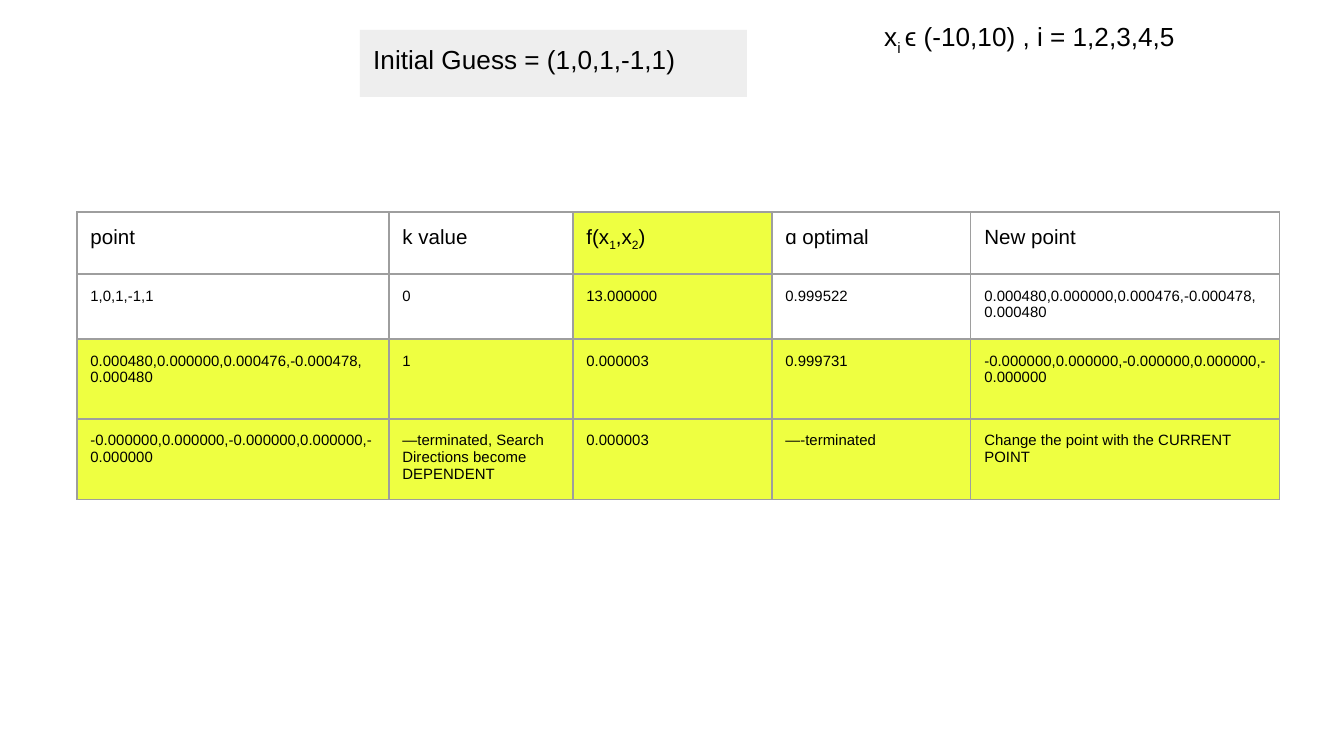
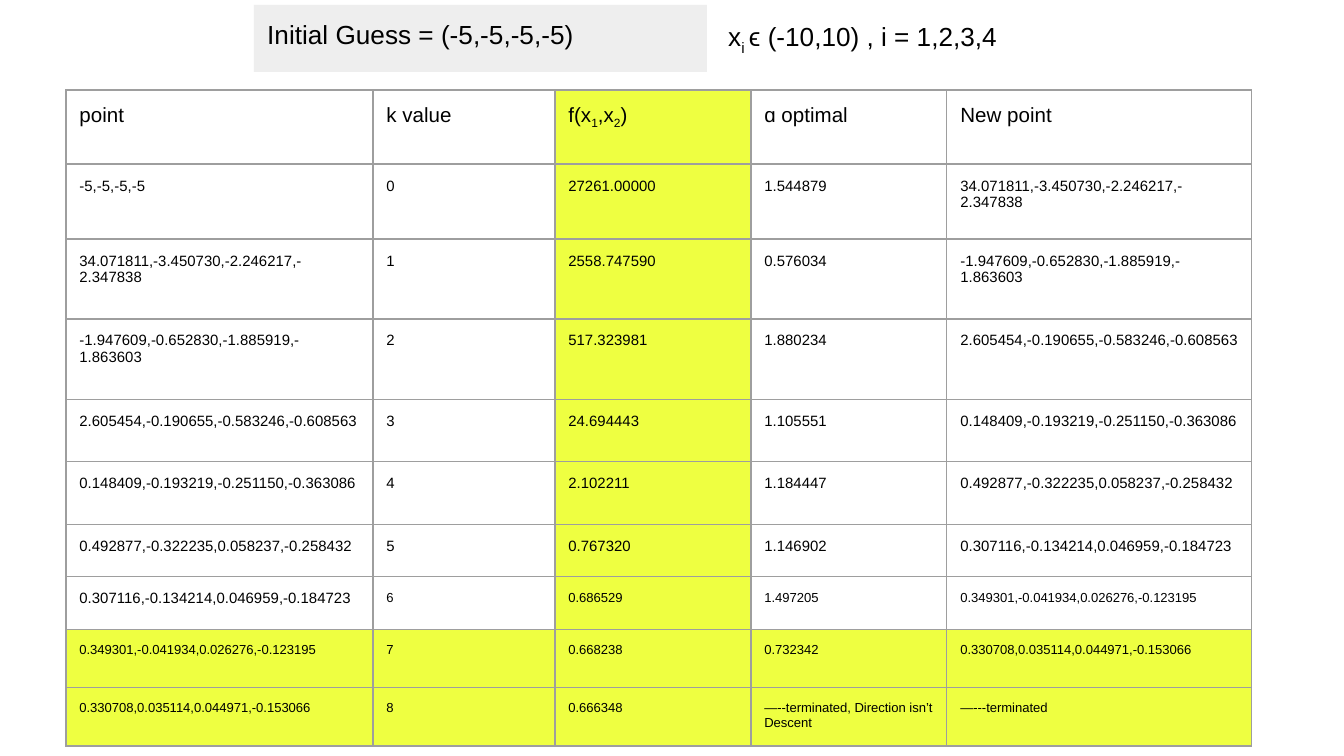
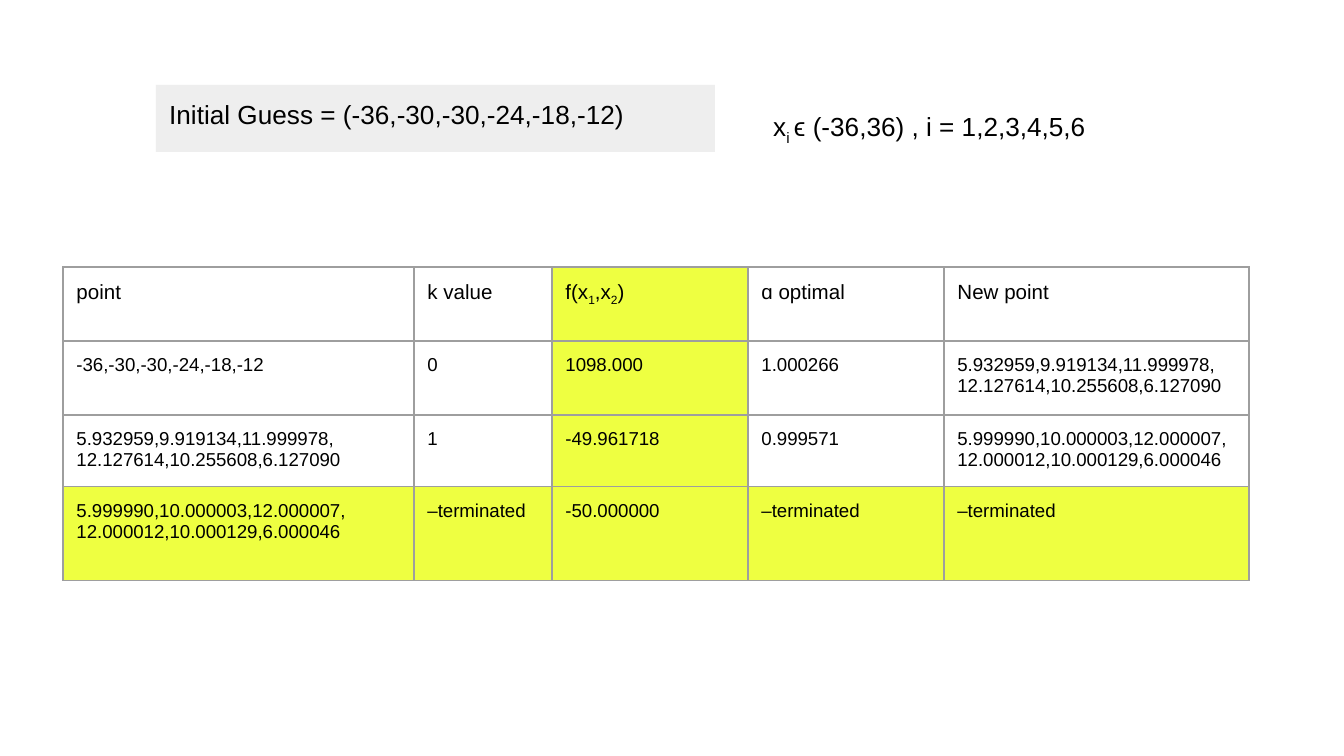
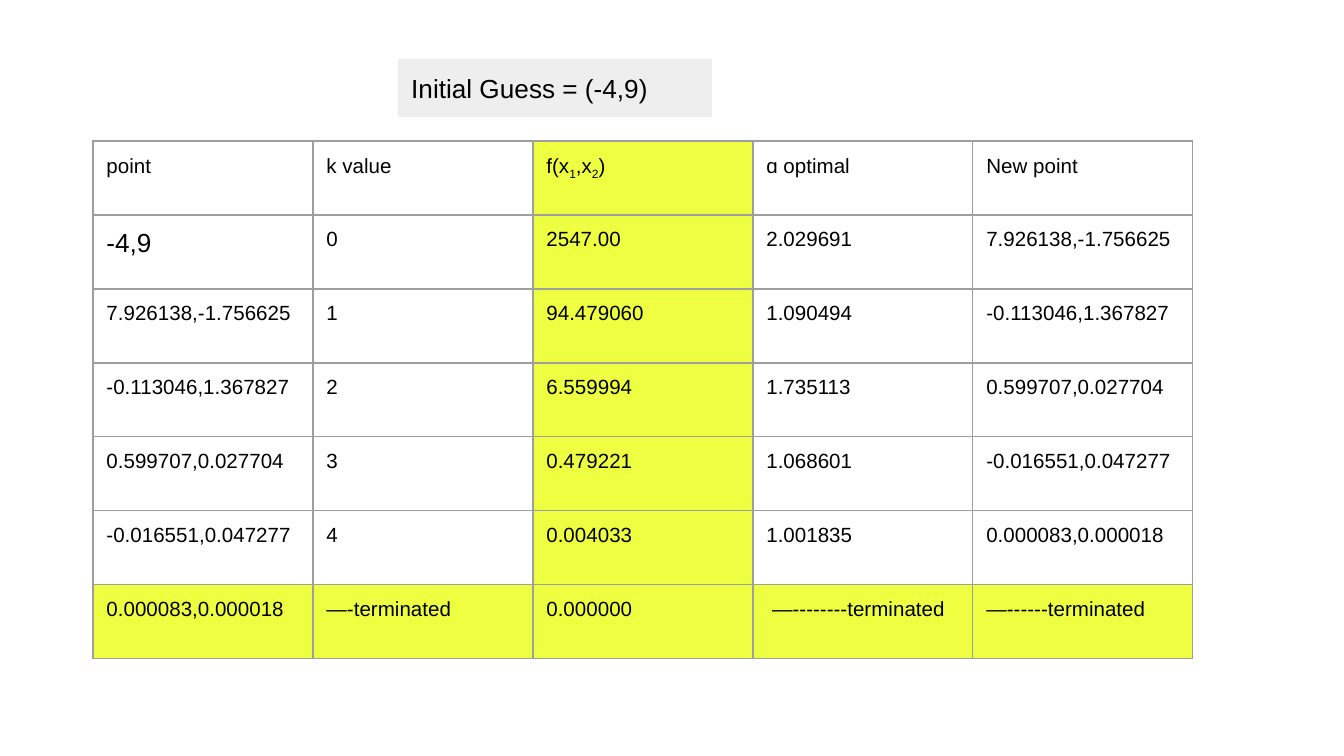
import lxml.etree
import pptx
import pptx.dml.color
import pptx.enum.shapes
import pptx.enum.text
import pptx.oxml.ns
import pptx.util

PX = 914400 / 134.4
SLIDE_SIZE = (1344, 756)
INSET = pptx.util.Inches(0.1)
FONT = "Arial"
BLACK = "000000"
WHITE = "FFFFFF"
LABEL_GREY = "EEEEEE"
BORDER_GREY = "9E9E9E"
HIGHLIGHT = "EEFF41"
LABEL_SIZE = 14
HEADER_SIZE = 11
BLANK_LAYOUT = 6
HEADERS = ("point", "k value", "f(x~1~,x~2~)", "ɑ optimal", "New point")
VALUE_COLUMN = HEADERS.index("f(x~1~,x~2~)")

FIVE_VARIABLES = [
    ("1,0,1,-1,1", "0", "13.000000", "0.999522",
     "0.000480,0.000000,0.000476,-0.000478, 0.000480"),
    ("0.000480,0.000000,0.000476,-0.000478, 0.000480", "1", "0.000003", "0.999731",
     "-0.000000,0.000000,-0.000000,0.000000,-0.000000"),
    ("-0.000000,0.000000,-0.000000,0.000000,-0.000000",
     "—terminated, Search Directions become DEPENDENT", "0.000003", "—-terminated",
     "Change the point with the CURRENT POINT"),
]
FOUR_VARIABLES = [
    ("-5,-5,-5,-5", "0", "27261.00000", "1.544879",
     "34.071811,-3.450730,-2.246217,-2.347838"),
    ("34.071811,-3.450730,-2.246217,-2.347838", "1", "2558.747590", "0.576034",
     "-1.947609,-0.652830,-1.885919,-1.863603"),
    ("-1.947609,-0.652830,-1.885919,-1.863603", "2", "517.323981", "1.880234",
     "2.605454,-0.190655,-0.583246,-0.608563"),
    ("2.605454,-0.190655,-0.583246,-0.608563", "3", "24.694443", "1.105551",
     "0.148409,-0.193219,-0.251150,-0.363086"),
    ("0.148409,-0.193219,-0.251150,-0.363086", "4", "2.102211", "1.184447",
     "0.492877,-0.322235,0.058237,-0.258432"),
    ("0.492877,-0.322235,0.058237,-0.258432", "5", "0.767320", "1.146902",
     "0.307116,-0.134214,0.046959,-0.184723"),
    ("0.307116,-0.134214,0.046959,-0.184723", "6", "0.686529", "1.497205",
     "0.349301,-0.041934,0.026276,-0.123195"),
    ("0.349301,-0.041934,0.026276,-0.123195", "7", "0.668238", "0.732342",
     "0.330708,0.035114,0.044971,-0.153066"),
    ("0.330708,0.035114,0.044971,-0.153066", "8", "0.666348",
     "—--terminated, Direction isn’t Descent", "—---terminated"),
]
SIX_VARIABLES = [
    ("-36,-30,-30,-24,-18,-12", "0", "1098.000", "1.000266",
     "5.932959,9.919134,11.999978, 12.127614,10.255608,6.127090"),
    ("5.932959,9.919134,11.999978, 12.127614,10.255608,6.127090", "1", "-49.961718",
     "0.999571", "5.999990,10.000003,12.000007,12.000012,10.000129,6.000046"),
    ("5.999990,10.000003,12.000007, 12.000012,10.000129,6.000046", "–terminated",
     "-50.000000", "–terminated", "–terminated"),
]
TWO_VARIABLES = [
    ("-4,9", "0", "2547.00", "2.029691", "7.926138,-1.756625"),
    ("7.926138,-1.756625", "1", "94.479060", "1.090494", "-0.113046,1.367827"),
    ("-0.113046,1.367827", "2", "6.559994", "1.735113", "0.599707,0.027704"),
    ("0.599707,0.027704", "3", "0.479221", "1.068601", "-0.016551,0.047277"),
    ("-0.016551,0.047277", "4", "0.004033", "1.001835", "0.000083,0.000018"),
    ("0.000083,0.000018", "—-terminated", "0.000000", " —--------terminated",
     "—------terminated"),
]


def px(length):
    return pptx.util.Emu(round(length * PX))


def color(value):
    return pptx.dml.color.RGBColor.from_string(value)


def paint(fill, value):
    fill.solid()
    fill.fore_color.rgb = color(value)


def set_insets(holder):
    holder.margin_left = holder.margin_right = INSET
    holder.margin_top = holder.margin_bottom = INSET


def write_text(text_frame, text, *, size, font_color=BLACK):
    paragraph = text_frame.paragraphs[0]
    paragraph.alignment = pptx.enum.text.PP_ALIGN.LEFT
    for index, part in enumerate(text.split("~")):
        run = paragraph.add_run()
        run.text = part
        run.font.name = FONT
        run.font.size = pptx.util.Pt(size)
        run.font.color.rgb = color(font_color)
        if index % 2:
            run.font._element.set("baseline", "-25000")


def prepare_frame(text_frame):
    text_frame.word_wrap = True
    text_frame.vertical_anchor = pptx.enum.text.MSO_ANCHOR.TOP
    set_insets(text_frame)


def add_guess_label(slide, box, guess):
    shape = slide.shapes.add_shape(
        pptx.enum.shapes.MSO_SHAPE.RECTANGLE, *map(px, box))
    shape.shadow.inherit = False
    shape.line.fill.background()
    paint(shape.fill, LABEL_GREY)
    prepare_frame(shape.text_frame)
    write_text(shape.text_frame, f"Initial Guess = ({guess})", size=LABEL_SIZE)


def add_domain_label(slide, box, domain):
    text_frame = slide.shapes.add_textbox(*map(px, box)).text_frame
    prepare_frame(text_frame)
    text_frame.auto_size = pptx.enum.text.MSO_AUTO_SIZE.SHAPE_TO_FIT_TEXT
    write_text(text_frame, f"x~i ~ϵ {domain}", size=LABEL_SIZE)


def add_borders(cell):
    properties = cell._tc.get_or_add_tcPr()
    for position, side in enumerate(("lnL", "lnR", "lnT", "lnB")):
        line = lxml.etree.Element(
            pptx.oxml.ns.qn(f"a:{side}"), w=str(pptx.util.Pt(0.75)))
        fill = lxml.etree.SubElement(line, pptx.oxml.ns.qn("a:solidFill"))
        lxml.etree.SubElement(fill, pptx.oxml.ns.qn("a:srgbClr"), val=BORDER_GREY)
        properties.insert(position, line)


def add_iteration_table(slide, origin, widths, heights, iterations, *,
                        body_size, highlighted_rows=1, special_sizes=None):
    special_sizes = special_sizes or {}
    rows = [HEADERS, *iterations]
    box = (*origin, sum(widths), sum(heights))
    table = slide.shapes.add_table(len(rows), len(HEADERS), *map(px, box)).table
    table.first_row = table.horz_banding = False
    for column, width in zip(table.columns, widths):
        column.width = px(width)
    for row_index, (texts, height) in enumerate(zip(rows, heights)):
        table.rows[row_index].height = px(height)
        row_size = body_size if row_index else HEADER_SIZE
        row_highlighted = row_index >= len(rows) - highlighted_rows
        for column_index, text in enumerate(texts):
            cell = table.cell(row_index, column_index)
            set_insets(cell)
            highlighted = row_highlighted or column_index == VALUE_COLUMN
            paint(cell.fill, HIGHLIGHT if highlighted else WHITE)
            add_borders(cell)
            size = special_sizes.get((row_index, column_index), row_size)
            write_text(cell.text_frame, text, size=size)


def add_results_slide(presentation, guess, domain, table):
    slide = presentation.slides.add_slide(presentation.slide_layouts[BLANK_LAYOUT])
    paint(slide.background.fill, WHITE)
    add_guess_label(slide, *guess)
    if domain:
        add_domain_label(slide, *domain)
    add_iteration_table(slide, **table)


def main():
    presentation = pptx.Presentation()
    presentation.slide_width, presentation.slide_height = map(px, SLIDE_SIZE)

    add_results_slide(
        presentation,
        guess=((360, 30, 387, 67), "1,0,1,-1,1"),
        domain=((871, 7, 332, 59), "(-10,10) , i = 1,2,3,4,5"),
        table=dict(origin=(77, 212), widths=(312, 184, 199, 199, 309),
                   heights=(62, 65, 80, 81), iterations=FIVE_VARIABLES,
                   body_size=8, highlighted_rows=2))

    smaller_cells = {(row, column): 7 for row in range(7, 10)
                     for column in range(len(HEADERS)) if (row, column) > (7, 0)}
    add_results_slide(
        presentation,
        guess=((254, 5, 453, 67), "-5,-5,-5,-5"),
        domain=((715, 7, 488, 59), "(-10,10) , i = 1,2,3,4"),
        table=dict(origin=(66, 90), widths=(307, 182, 196, 196, 305),
                   heights=(74, 75, 80, 81, 62, 63, 52, 53, 58, 58),
                   iterations=FOUR_VARIABLES, body_size=8, highlighted_rows=2,
                   special_sizes=smaller_cells))

    add_results_slide(
        presentation,
        guess=((156, 85, 559, 67), "-36,-30,-30,-24,-18,-12"),
        domain=((760, 97, 488, 59), "(-36,36) , i = 1,2,3,4,5,6"),
        table=dict(origin=(63, 267), widths=(351, 138, 196, 196, 305),
                   heights=(74, 74, 72, 94), iterations=SIX_VARIABLES, body_size=10))

    add_results_slide(
        presentation,
        guess=((398, 59, 314, 58), "-4,9"),
        domain=None,
        table=dict(origin=(93, 141), widths=(220,) * len(HEADERS),
                   heights=(74,) * (len(TWO_VARIABLES) + 1),
                   iterations=TWO_VARIABLES, body_size=HEADER_SIZE,
                   special_sizes={(1, 0): 14}))

    presentation.save("out.pptx")


if __name__ == "__main__":
    main()
